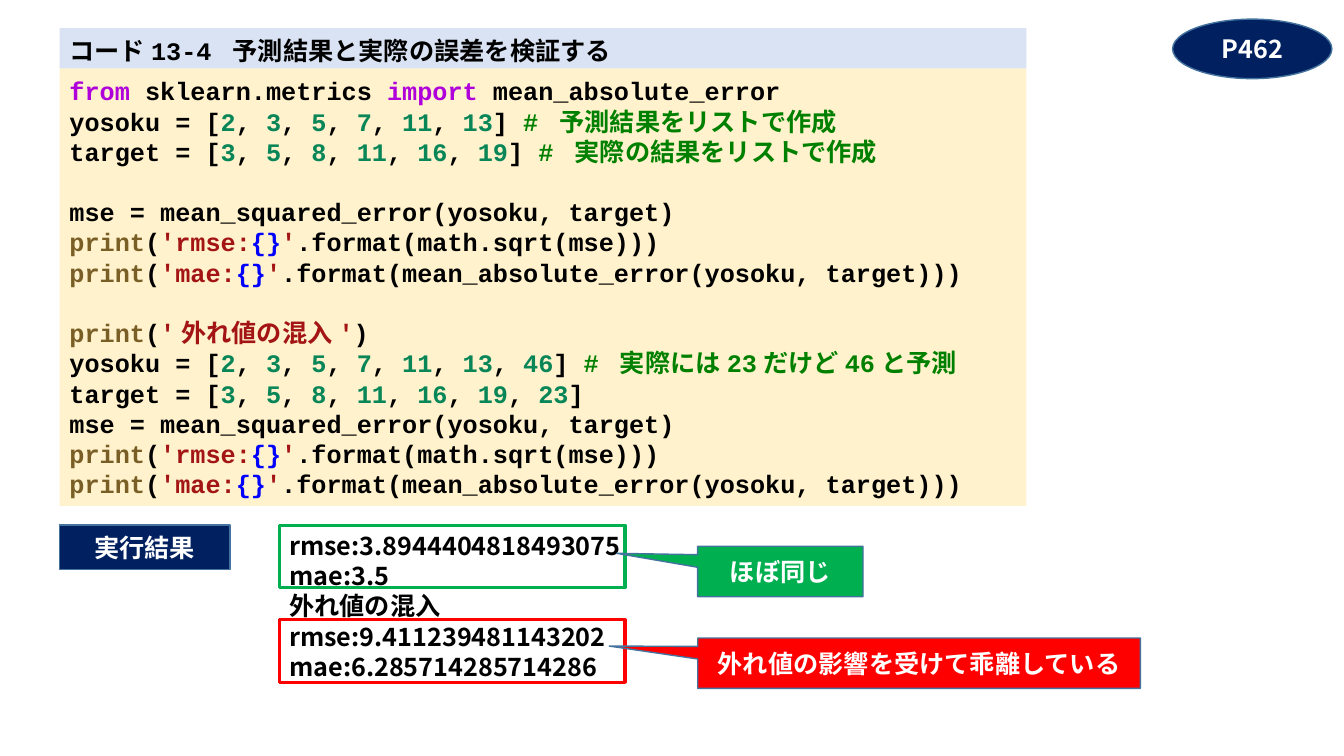
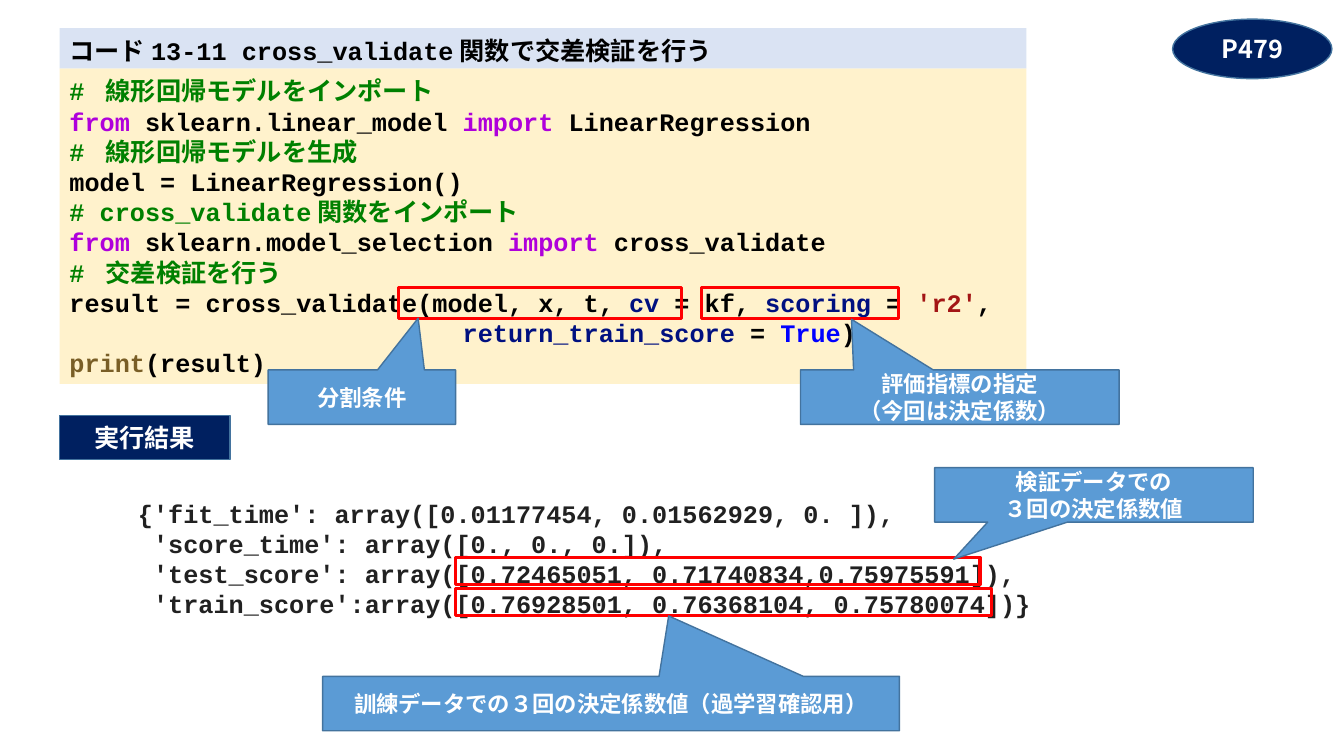
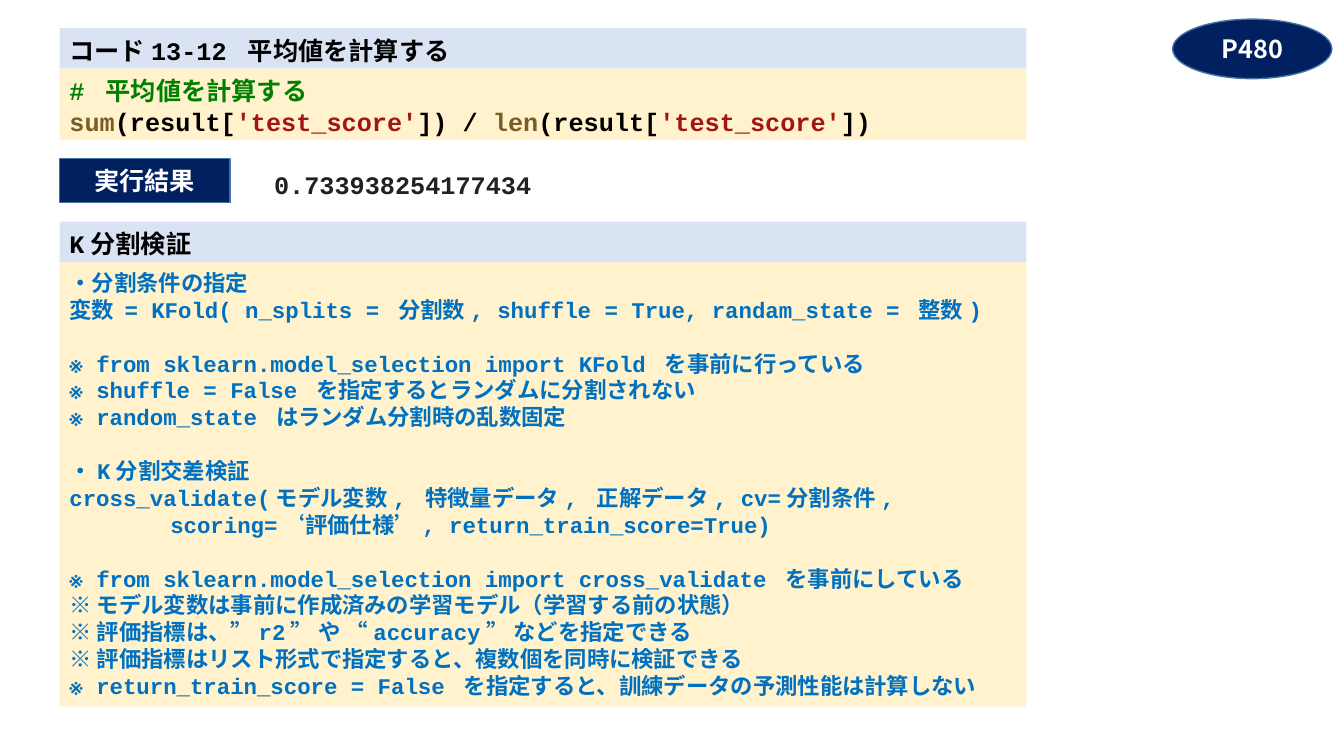
from dataclasses import dataclass
from typing import Optional, Sequence, Union

from lxml.etree import SubElement
from pptx import Presentation
from pptx.dml.color import RGBColor
from pptx.enum.shapes import MSO_SHAPE
from pptx.enum.text import MSO_ANCHOR, MSO_AUTO_SIZE, PP_ALIGN
from pptx.oxml.ns import qn
from pptx.util import Inches, Pt

COLORS = {
    "code": "000000", "keyword": "AF00DB", "number": "098658", "comment": "008000",
    "function": "795E26", "string": "A31515", "brace": "0000FF", "argument": "001080",
    "output": "212121", "syntax": "0070C0", "white": "FFFFFF", "navy": "002060",
    "edge": "43739E", "header": "DAE3F3", "panel": "FFF2CC", "blue": "5B9BD5",
    "green": "00B050", "red": "FF0000",
}
MONO = "Courier New"
SANS = "Noto Sans CJK JP"
LINE_HEIGHT = 1.2
PANEL_LEFT, PANEL_WIDTH, HEADER_HEIGHT = 0.59, 9.59, 0.4


@dataclass(frozen=True)
class Box:
    left: float
    top: float
    width: float
    height: float


@dataclass(frozen=True)
class Line:
    text: str
    indent: float = 0
    gap: bool = False


@dataclass(frozen=True)
class Frame:
    box: Box
    color: str = "red"


@dataclass(frozen=True)
class Callout:
    box: Box
    tip: tuple[float, float]
    lines: Sequence[str]
    color: str = "blue"
    size: int = 16


@dataclass(frozen=True)
class Panel:
    top: float
    body_height: float
    title: str
    lines: Sequence[Union[str, Line]]
    color: str = "code"
    size: int = 18


@dataclass(frozen=True)
class Output:
    box: Box
    lines: Sequence[str]
    font: str = MONO
    color: str = "output"
    wrap: bool = True


@dataclass(frozen=True)
class Page:
    number: str
    panels: Sequence[Panel]
    result_top: float
    output: Output
    frames: Sequence[Frame] = ()
    callouts: Sequence[Callout] = ()


def rgb(name: str) -> RGBColor:
    return RGBColor.from_string(COLORS[name])


def inches(box: Box) -> list:
    return [Inches(v) for v in (box.left, box.top, box.width, box.height)]


def write(shape, lines: Sequence[Union[str, Line]], *, size: int = 18, font: str = SANS,
          color: str = "white", align=PP_ALIGN.CENTER, anchor=MSO_ANCHOR.MIDDLE,
          wrap: bool = True, inset: float = 0) -> None:
    frame = shape.text_frame
    frame.word_wrap = wrap
    frame.auto_size = MSO_AUTO_SIZE.NONE
    frame.vertical_anchor = anchor
    frame.margin_top, frame.margin_bottom = Inches(inset), Inches(0)
    for index, entry in enumerate(lines):
        line = entry if isinstance(entry, Line) else Line(entry)
        paragraph = frame.paragraphs[0] if index == 0 else frame.add_paragraph()
        paragraph.alignment = align
        paragraph.line_spacing = Pt(size * LINE_HEIGHT)
        if line.gap:
            paragraph.space_before = Pt(size * LINE_HEIGHT)
        if line.indent:
            paragraph._p.get_or_add_pPr().set("marL", str(Inches(line.indent)))
        for position, piece in enumerate(line.text.split("~")):
            if not piece:
                continue
            token, _, word = piece.partition(":") if position % 2 else (color, "", piece)
            run = paragraph.add_run()
            run.text = word
            run.font.size, run.font.bold, run.font.name = Pt(size), True, font
            run.font.color.rgb = rgb(token)
            SubElement(run._r.get_or_add_rPr(), qn("a:ea")).set("typeface", SANS)


def draw(slide, kind, box: Box, *, fill: Optional[str] = None,
         line: Optional[str] = None, weight: float = 1):
    shape = slide.shapes.add_shape(kind, *inches(box))
    shape.shadow.inherit = False
    if fill:
        shape.fill.solid()
        shape.fill.fore_color.rgb = rgb(fill)
    else:
        shape.fill.background()
    if line:
        shape.line.color.rgb = rgb(line)
        shape.line.width = Pt(weight)
    else:
        shape.line.fill.background()
    return shape


def draw_panel(slide, panel: Panel) -> None:
    body = Box(PANEL_LEFT, panel.top + HEADER_HEIGHT, PANEL_WIDTH, panel.body_height)
    header = Box(PANEL_LEFT, panel.top, PANEL_WIDTH, HEADER_HEIGHT)
    style = dict(font=MONO, align=PP_ALIGN.LEFT, anchor=MSO_ANCHOR.TOP, inset=0.07)
    write(draw(slide, MSO_SHAPE.RECTANGLE, body, fill="panel"), panel.lines,
          size=panel.size, color=panel.color, **style)
    write(draw(slide, MSO_SHAPE.RECTANGLE, header, fill="header"), [panel.title],
          color="code", **style)


def draw_callout(slide, callout: Callout) -> None:
    balloon = draw(slide, MSO_SHAPE.RECTANGULAR_CALLOUT, callout.box,
                   fill=callout.color, line="edge")
    for index, offset in enumerate(callout.tip):
        balloon.adjustments[index] = offset
    write(balloon, callout.lines, size=callout.size)


def draw_output(slide, output: Output) -> None:
    write(slide.shapes.add_textbox(*inches(output.box)), output.lines, font=output.font,
          color=output.color, align=PP_ALIGN.LEFT, anchor=MSO_ANCHOR.TOP,
          wrap=output.wrap, inset=0.07 if output.font == MONO else 0.05)


def draw_page(deck, page: Page) -> None:
    slide = deck.slides.add_slide(deck.slide_layouts[6])
    for panel in page.panels:
        draw_panel(slide, panel)
    badge = Box(11.63, 0.19, 1.58, 0.59)
    write(draw(slide, MSO_SHAPE.OVAL, badge, fill="navy", line="edge"), [page.number])
    label = Box(PANEL_LEFT, page.result_top, 1.69, 0.44)
    write(draw(slide, MSO_SHAPE.RECTANGLE, label, fill="navy", line="edge"), ["実行結果"])
    draw_output(slide, page.output)
    for frame in page.frames:
        draw(slide, MSO_SHAPE.RECTANGLE, frame.box, line=frame.color, weight=2.25)
    for callout in page.callouts:
        draw_callout(slide, callout)


def number_list(name: str, values: Sequence[int], comment: str = "") -> str:
    items = ", ".join(f"~number:{value}~" for value in values)
    return f"{name} = [{items}]" + (f" ~comment:# {comment}~" if comment else "")


def import_line(module: str, name: str) -> str:
    return f"~keyword:from~ {module} ~keyword:import~ {name}"


def print_metric(name: str, value: str) -> str:
    return (f"~function:print~(~string:'{name}:~~brace:{{}}~~string:'~"
            f".format({value}))")


MSE = "mse = mean_squared_error(yosoku, target)"
METRICS = [
    print_metric("rmse", "math.sqrt(mse)"),
    print_metric("mae", "mean_absolute_error(yosoku, target)"),
]
PREDICTED = [2, 3, 5, 7, 11, 13]
ACTUAL = [3, 5, 8, 11, 16, 19]

error_check = Page(
    "P462",
    [Panel(0.28, 4.34, "コード13-4 予測結果と実際の誤差を検証する", [
        import_line("sklearn.metrics", "mean_absolute_error"),
        number_list("yosoku", PREDICTED, "予測結果をリストで作成"),
        number_list("target", ACTUAL, "実際の結果をリストで作成"),
        Line(MSE, gap=True),
        *METRICS,
        Line("~function:print~(~string:'外れ値の混入'~)", gap=True),
        number_list("yosoku", PREDICTED + [46], "実際には23だけど46と予測"),
        number_list("target", ACTUAL + [23]),
        MSE,
        *METRICS,
    ])],
    5.21,
    Output(Box(2.77, 5.21, 6.67, 1.62), [
        "rmse:3.8944404818493075", "mae:3.5", "外れ値の混入",
        "rmse:9.411239481143202", "mae:6.285714285714286",
    ], font=SANS, color="code"),
    [Frame(Box(2.77, 5.21, 3.43, 0.62), "green"), Frame(Box(2.77, 6.15, 3.43, 0.62))],
    [
        Callout(Box(6.92, 5.42, 1.64, 0.5), (-0.99, -0.36), ["ほぼ同じ"], "green", 18),
        Callout(Box(6.92, 6.33, 4.39, 0.5), (-0.7, -0.34),
                ["外れ値の影響を受けて乖離している"], "red", 18),
    ],
)

cross_validation = Page(
    "P479",
    [Panel(0.28, 3.13, "コード13-11 cross_validate関数で交差検証を行う", [
        "~comment:# 線形回帰モデルをインポート~",
        import_line("sklearn.linear_model", "LinearRegression"),
        "~comment:# 線形回帰モデルを生成~",
        "model = LinearRegression()",
        "~comment:# cross_validate関数をインポート~",
        import_line("sklearn.model_selection", "cross_validate"),
        "~comment:# 交差検証を行う~",
        "result = cross_validate(model, x, t, ~argument:cv~ = kf, "
        "~argument:scoring~ = ~string:'r2'~,",
        Line("~argument:return_train_score~ = ~brace:True~)", indent=3.9),
        "~function:print~(result)",
    ])],
    4.12,
    Output(Box(1.27, 4.87, 9.38, 1.31), [
        "{'fit_time': array([0.01177454, 0.01562929, 0. ]),",
        " 'score_time': array([0., 0., 0.]),",
        " 'test_score': array([0.72465051, 0.71740834,0.75975591]),",
        " 'train_score':array([0.76928501, 0.76368104, 0.75780074])}",
    ]),
    [
        Frame(Box(3.95, 2.85, 2.81, 0.31)),
        Frame(Box(6.96, 2.85, 1.95, 0.31)),
        Frame(Box(4.52, 5.53, 5.2, 0.27)),
        Frame(Box(4.52, 5.84, 5.31, 0.27)),
    ],
    [
        Callout(Box(2.66, 3.67, 1.86, 0.54), (0.3, -1.45), ["分割条件"]),
        Callout(Box(7.94, 3.67, 3.16, 0.54), (-0.34, -1.43),
                ["評価指標の指定", "（今回は決定係数）"]),
        Callout(Box(3.2, 6.71, 5.72, 0.54), (0.1, -1.61),
                ["訓練データでの３回の決定係数値（過学習確認用）"]),
        Callout(Box(9.27, 4.64, 3.16, 0.54), (-0.44, 1.18),
                ["検証データでの", "３回の決定係数値"]),
    ],
)

score_average = Page(
    "P480",
    [
        Panel(0.28, 0.71, "コード13-12 平均値を計算する", [
            "~comment:# 平均値を計算する~",
            "~function:sum~(result[~string:'test_score'~]) / "
            "~function:len~(result[~string:'test_score'~])",
        ]),
        Panel(2.2, 4.41, "K分割検証", [
            "・分割条件の指定",
            "変数 = KFold( n_splits = 分割数, shuffle = True, randam_state = 整数)",
            Line("※ from sklearn.model_selection import KFold を事前に行っている", gap=True),
            "※ shuffle = False を指定するとランダムに分割されない",
            "※ random_state はランダム分割時の乱数固定",
            Line("・K分割交差検証", gap=True),
            "cross_validate(モデル変数, 特徴量データ, 正解データ, cv=分割条件,",
            Line("scoring=‘評価仕様’, return_train_score=True)", indent=1),
            Line("※ from sklearn.model_selection import cross_validate を事前にしている",
                 gap=True),
            "※ モデル変数は事前に作成済みの学習モデル（学習する前の状態）",
            "※ 評価指標は、”r2” や “accuracy” などを指定できる",
            "※ 評価指標はリスト形式で指定すると、複数個を同時に検証できる",
            "※ return_train_score = False を指定すると、訓練データの予測性能は計算しない",
        ], color="syntax", size=16),
    ],
    1.57,
    Output(Box(2.62, 1.61, 2.76, 0.4), ["0.733938254177434"], wrap=False),
)

deck = Presentation()
deck.slide_width, deck.slide_height = Inches(13.33), Inches(7.5)
for page in (error_check, cross_validation, score_average):
    draw_page(deck, page)
deck.save("out.pptx")
